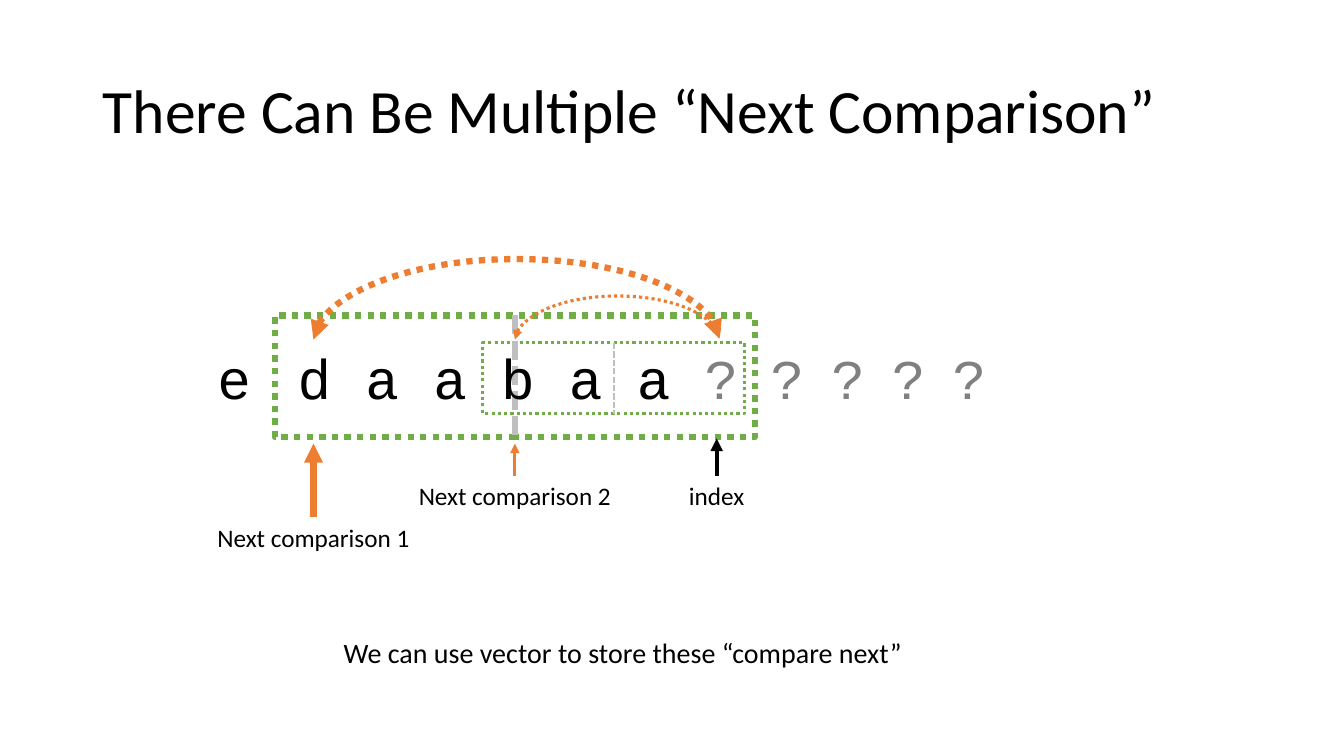
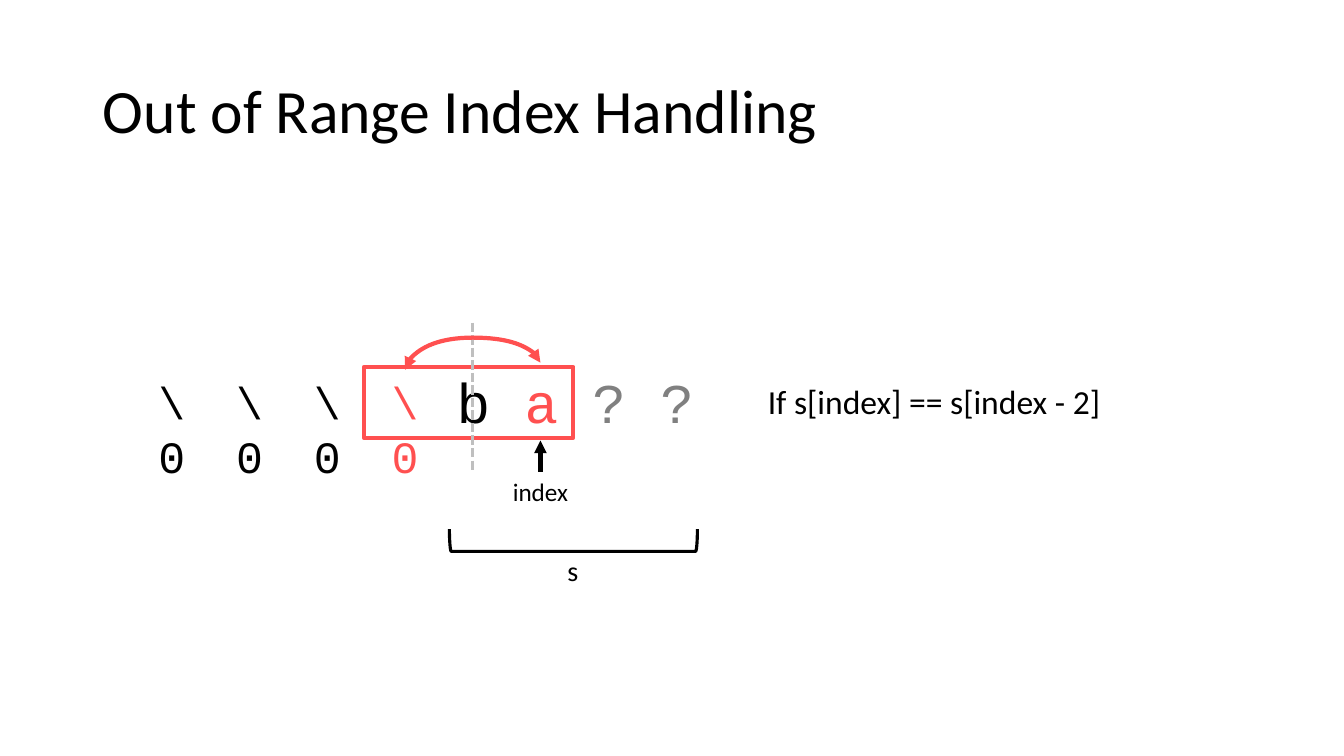
from lxml.etree import SubElement
from pptx import Presentation
from pptx.dml.color import RGBColor
from pptx.enum.dml import MSO_LINE as Dash
from pptx.enum.shapes import MSO_CONNECTOR as Link, MSO_SHAPE as Form
from pptx.enum.text import MSO_ANCHOR as Anchor, MSO_AUTO_SIZE as Fit, PP_ALIGN as Align
from pptx.oxml.ns import qn
from pptx.util import Cm, Pt

BLACK = RGBColor(0x00, 0x00, 0x00)
GRAY = RGBColor(0x80, 0x80, 0x80)
SILVER = RGBColor(0xBF, 0xBF, 0xBF)
GREEN = RGBColor(0x70, 0xAD, 0x47)
ORANGE = RGBColor(0xED, 0x7D, 0x31)
RED = RGBColor(0xFF, 0x50, 0x50)
SANS, MONO = "Calibri", "Courier New"
STEP = 1.71


def write(frame, text, size=18, color=BLACK, font=SANS, align=Align.CENTER, space=None):
    para = frame.paragraphs[0]
    para.alignment = align
    para.line_spacing = space
    run = para.add_run()
    run.text = text
    run.font.size = Pt(size)
    run.font.name = font
    run.font.color.rgb = color


def label(slide, x, y, w, h, text, wrap=False, **style):
    frame = slide.shapes.add_textbox(Cm(x), Cm(y), Cm(w), Cm(h)).text_frame
    frame.word_wrap = wrap
    frame.auto_size = Fit.SHAPE_TO_FIT_TEXT
    write(frame, text, **style)


def stroke(shape, color, width, dash=None, ends=()):
    shape.line.color.rgb = color
    shape.line.width = Pt(width)
    if dash:
        shape.line.dash_style = dash
    edge = shape.element.spPr.find(qn("a:ln"))
    for end in ends:
        SubElement(edge, qn(f"a:{end}"), type="triangle")


def link(slide, x1, y1, x2, y2, color, width, kind=Link.STRAIGHT, **style):
    line = slide.shapes.add_connector(kind, Cm(x1), Cm(y1), Cm(x2), Cm(y2))
    stroke(line, color, width, **style)
    SubElement(line.element.spPr, qn("a:effectLst"))
    return line


def arc(slide, x1, y1, x2, y2, rise, color, width, dash=None):
    mid, level = (x1 + x2) / 2, (y1 + y2) / 2
    drop, half = y1 - y2, (x2 - x1) / 2
    line = link(slide, mid + drop / 2, level + half, mid - drop / 2, level - half,
                color, width, kind=Link.CURVE, dash=dash, ends=("headEnd", "tailEnd"))
    props = line.element.spPr
    props.find(qn("a:xfrm")).set("rot", "5400000")
    guides = props.find(qn("a:prstGeom")).find(qn("a:avLst"))
    SubElement(guides, qn("a:gd"), name="adj1", fmla=f"val {round(rise / drop * 100000)}")


def shape(slide, form, x, y, w, h, color, width, dash=None):
    item = slide.shapes.add_shape(form, Cm(x), Cm(y), Cm(w), Cm(h))
    item.shadow.inherit = False
    item.fill.background()
    stroke(item, color, width, dash)
    return item


def row(slide, x, y, chars, step=STEP, color=BLACK):
    for i, char in enumerate(chars):
        label(slide, x + i * step - 0.65, y, 1.3, 1.95, char, size=40, font=MONO,
              color=GRAY if char == "?" else color)


def pointer(slide, x, tail, tip, text, w, color=BLACK, width=3):
    link(slide, x, tail, x, tip, color, width, ends=("tailEnd",))
    label(slide, x - w / 2, tail, w, 1.01, text)


def start(deck, text):
    slide = deck.slides.add_slide(deck.slide_layouts[5])
    title = slide.shapes.title
    title.left, title.top, title.width, title.height = Cm(2.34), Cm(1.02), Cm(29.21), Cm(3.68)
    title.text_frame.vertical_anchor = Anchor.MIDDLE
    write(title.text_frame, text, size=44, align=Align.LEFT, space=0.9)
    return slide


def nested(slide, x, y, w, h):
    mid, base = x + w / 2, y + 0.58
    first, last = x + 0.97, x + 11.2
    shape(slide, Form.RECTANGLE, x + 5.24, y + 0.69, 6.6, 1.78, GREEN, 2.25, Dash.ROUND_DOT)
    shape(slide, Form.RECTANGLE, x, y, w, h, GREEN, 4.5, Dash.ROUND_DOT)
    link(slide, x + 8.54, y + 0.69, x + 8.54, y + 2.47, SILVER, 1.5, dash=Dash.SQUARE_DOT)
    link(slide, mid, y, mid, y + h, SILVER, 4.5, dash=Dash.SQUARE_DOT)
    for left, rise, width in ((first, 2.03, 4.5), (mid, 1.1, 2.25)):
        arc(slide, left, base + 0.03, last, base, rise, ORANGE, width, Dash.ROUND_DOT)
    row(slide, x - 1.05, base, "e")
    row(slide, first, base, "daabaa?")
    row(slide, x + 12.89, base, "????", step=1.53)
    pointer(slide, x + 11.13, y + 4.04, y + 3.1, "index", 1.93)
    pointer(slide, first, y + 5.08, y + 3.23, "Next comparison 1", 5.41, ORANGE, 4.5)
    pointer(slide, mid, y + 4.04, y + 3.23, "Next comparison 2", 5.41, ORANGE, 2.25)


def bounds(slide, x, y, w, h):
    mid, base = x + 2.74, y - 0.11
    for i in range(4):
        label(slide, x + 0.15 - i * 1.96, y + 0.07, 1.78, 1.63, "\\0", wrap=True,
              size=32, font=MONO, color=BLACK if i else RED)
    row(slide, mid, base, "b")
    row(slide, mid + STEP, base, "a??", color=RED)
    shape(slide, Form.RECTANGLE, x, y, w, h, RED, 3)
    pointer(slide, mid + STEP, y + 2.64, y + 1.85, "index", 1.93)
    link(slide, mid, y - 1.12, mid, y + 2.64, SILVER, 2.25, dash=Dash.SQUARE_DOT)
    arc(slide, x + 1.04, y + 0.07, x + 4.45, base, 0.81, RED, 3)
    brace = shape(slide, Form.RIGHT_BRACKET, x + 5, y + 1.24, 0.56, 6.25, BLACK, 2.25)
    brace.rotation = 90
    label(slide, x + 4.88, y + 4.57, 0.79, 1.12, "s", size=20, align=Align.LEFT)


deck = Presentation()
deck.slide_width, deck.slide_height = Cm(33.87), Cm(19.05)

multi = start(deck, "There Can Be Multiple “Next Comparison”")
nested(multi, 6.93, 7.95, 12.09, 3.07)
label(multi, 8.41, 15.9, 14.71, 1.12, "We can use vector to store these “compare next”",
      size=20, align=Align.LEFT)

limit = start(deck, "Out of Range Index Handling")
bounds(limit, 9.17, 9.25, 5.28, 1.78)
label(limit, 19.1, 9.47, 8.97, 1.27, "If s[index] == s[index - 2]", size=24, align=Align.LEFT)

deck.save("out.pptx")
